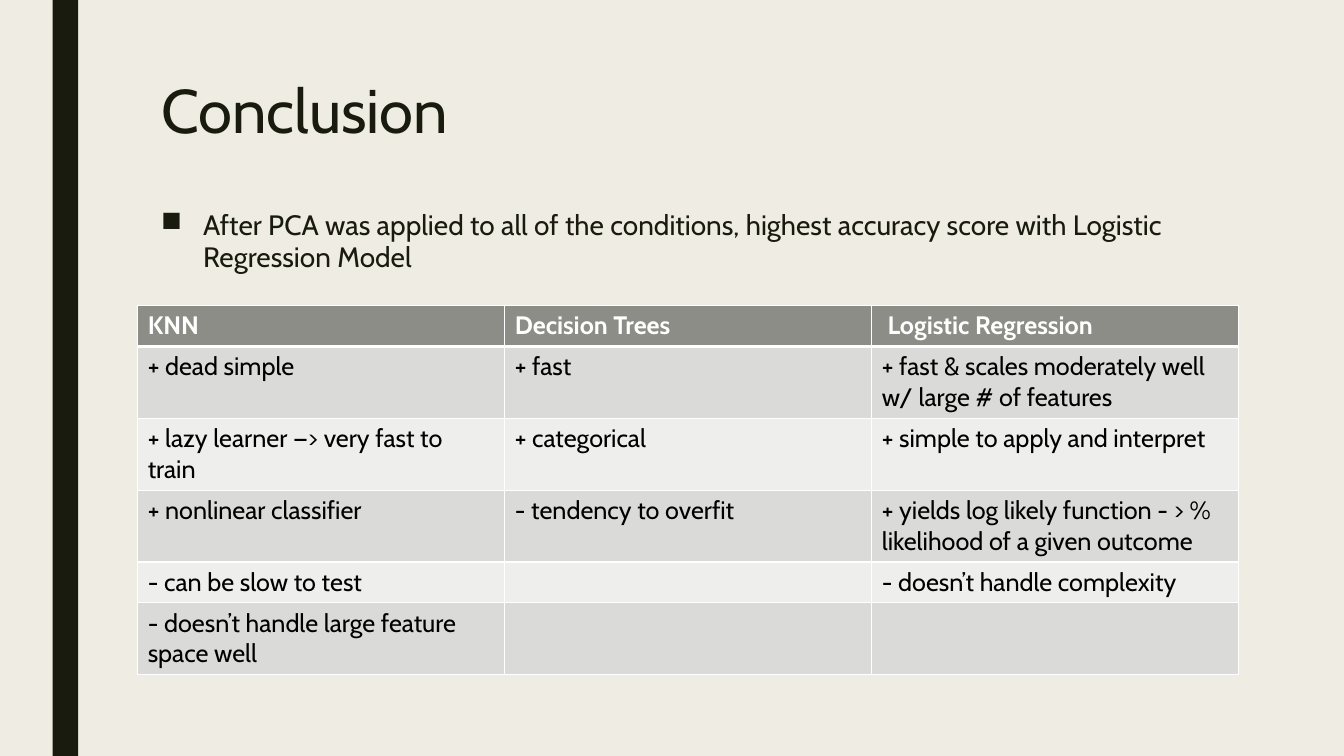
from dataclasses import dataclass

from lxml.etree import SubElement as Sub
from pptx import Presentation
from pptx.dml.color import RGBColor as Rgb
from pptx.enum.shapes import MSO_SHAPE as Shape
from pptx.enum.text import MSO_ANCHOR as Anchor, MSO_AUTO_SIZE as Fit, PP_ALIGN as Align
from pptx.oxml.ns import qn
from pptx.util import Cm, Pt

FONT = "Cabin"
HUES = {
    "page": "EFEDE3",
    "ink": "191B0E",
    "head": "8C8D86",
    "odd": "DADBD9",
    "even": "EEEEED",
    "white": "FFFFFF",
    "black": "000000",
}


@dataclass(frozen=True)
class Row:
    height: float
    texts: tuple[str, str, str]


ROWS = [
    Row(1.03, ("KNN", "Decision Trees", " Logistic Regression")),
    Row(1.81, ("+ dead simple", "+ fast", "+ fast & scales moderately well w/ large # of features")),
    Row(1.81, ("+ lazy learner —> very fast to train", "+ categorical", "+ simple to apply and interpret")),
    Row(1.81, ("+ nonlinear classifier", "- tendency to overfit",
               "+ yields log likely function - > % likelihood of a given outcome")),
    Row(1.03, ("- can be slow to test", "", "- doesn’t handle complexity")),
    Row(1.81, ("- doesn’t handle large feature space well", "", "")),
]


def tint(fill, hue: str) -> None:
    fill.solid()
    fill.fore_color.rgb = Rgb.from_string(HUES[hue])


def style(para, size: float, hue: str, bold: bool = False) -> None:
    font = para.font
    font.name, font.size, font.bold = FONT, Pt(size), bold
    font.color.rgb = Rgb.from_string(HUES[hue])


def place(shape, left: float, top: float, width: float, height: float) -> None:
    shape.left, shape.top = Cm(left), Cm(top)
    shape.width, shape.height = Cm(width), Cm(height)


def add_bar(slide) -> None:
    bar = slide.shapes.add_shape(Shape.RECTANGLE, Cm(1.33), 0, Cm(0.64), Cm(19.05))
    bar.shadow.inherit = False
    tint(bar.fill, "ink")
    bar.line.fill.background()


def add_title(slide) -> None:
    title = slide.shapes.title
    place(title, 3.81, 1.9, 26.67, 4.11)
    frame = title.text_frame
    frame.text = "Conclusion"
    frame.vertical_anchor, frame.auto_size = Anchor.TOP, Fit.NONE
    para = frame.paragraphs[0]
    para.alignment, para.line_spacing = Align.LEFT, 0.89
    style(para, 44, "ink")


def add_point(slide) -> None:
    box = slide.shapes.add_textbox(Cm(3.81), Cm(5.18), Cm(26.67), Cm(9.96))
    frame = box.text_frame
    frame.word_wrap = True
    frame.text = ("After PCA was applied to all of the conditions, "
                  "highest accuracy score with Logistic Regression Model")
    para = frame.paragraphs[0]
    para.line_spacing = 0.94
    para.space_before, para.space_after = Pt(10), Pt(2)
    props = para._p.get_or_add_pPr()
    props.set("marL", str(Cm(1.06)))
    props.set("indent", str(-Cm(1.06)))
    Sub(props, qn("a:buChar"), char="■")
    style(para, 20, "ink")


def edge(cell, side: str, width: float) -> None:
    line = Sub(cell._tc.get_or_add_tcPr(), qn(f"a:ln{side}"), w=str(Pt(width)))
    Sub(Sub(line, qn("a:solidFill")), qn("a:srgbClr"), val=HUES["white"])


def add_grid(slide) -> None:
    total = sum(row.height for row in ROWS)
    grid = slide.shapes.add_table(len(ROWS), 3, Cm(3.47), Cm(7.7), Cm(27.75), Cm(total)).table
    for col in grid.columns:
        col.width = Cm(9.25)
    for i, row in enumerate(ROWS):
        grid.rows[i].height = Cm(row.height)
        head = i == 0
        hue = "head" if head else "odd" if i % 2 else "even"
        for j, text in enumerate(row.texts):
            cell = grid.cell(i, j)
            cell.text = text
            style(cell.text_frame.paragraphs[0], 18, "white" if head else "black", head)
            for side, width in zip("LRTB", (1, 1, 3 if i == 1 else 1, 3 if head else 1)):
                edge(cell, side, width)
            tint(cell.fill, hue)


def main() -> None:
    deck = Presentation()
    deck.slide_width, deck.slide_height = Cm(33.87), Cm(19.05)
    slide = deck.slides.add_slide(deck.slide_layouts[5])
    tint(slide.background.fill, "page")
    add_bar(slide)
    add_title(slide)
    add_point(slide)
    add_grid(slide)
    deck.save("out.pptx")


if __name__ == "__main__":
    main()
